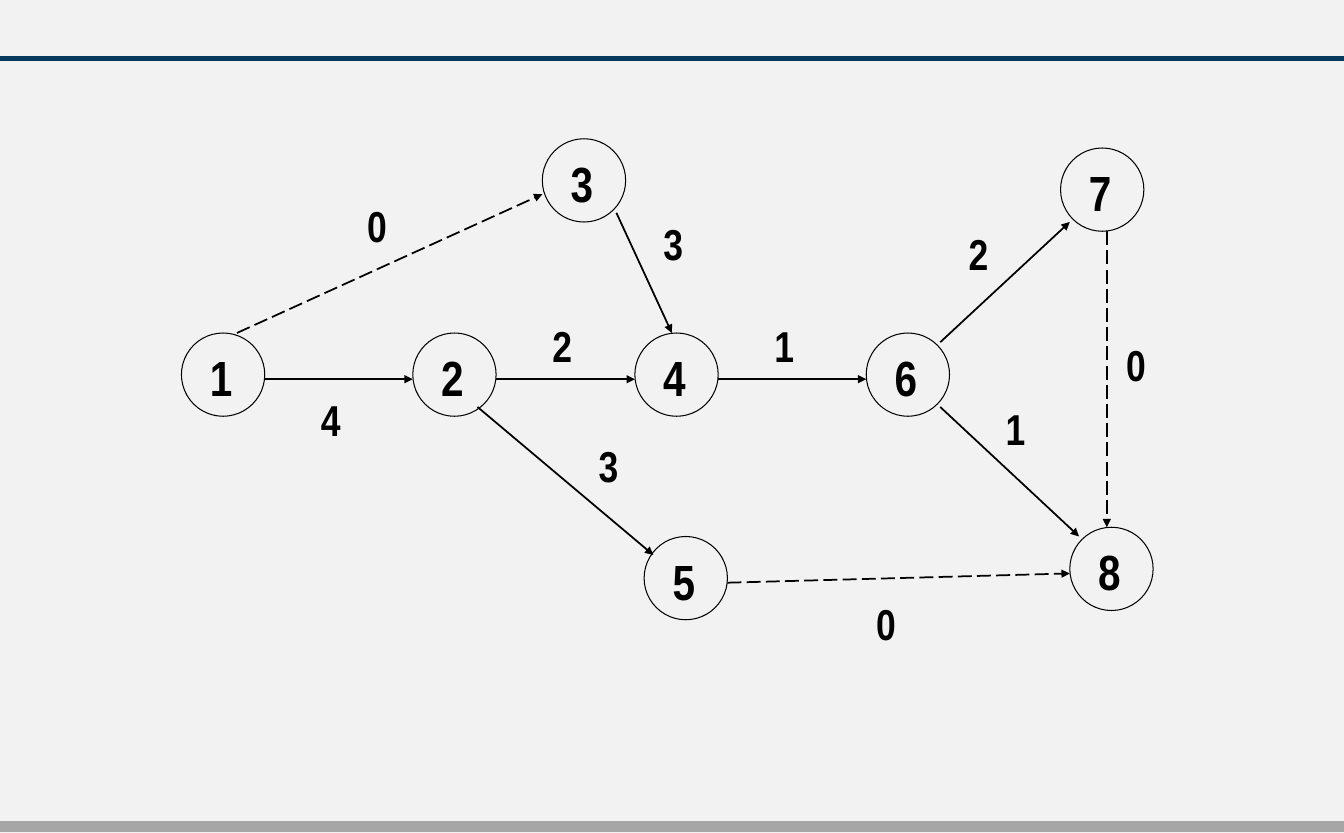
"""Activity network: numbered events joined by weighted arrows, dummies dashed."""
from lxml.etree import SubElement
from pptx import Presentation
from pptx.dml.color import RGBColor
from pptx.enum.dml import MSO_LINE
from pptx.enum.shapes import MSO_CONNECTOR, MSO_SHAPE
from pptx.enum.text import MSO_AUTO_SIZE
from pptx.oxml.ns import qn
from pptx.util import Pt

WIDTH, HEIGHT = 960, 595.28
GRID, ORIGIN_X = 6.61, 129.6
NODE_SIZE = 9
BLACK = "000000"

BARS = [(587.2, 7.2, "A6A6A6"), (40.3, 2.9, "01395C")]
NODES = {
    "1": (0, 36), "2": (25, 36), "3": (39, 15), "4": (49, 36),
    "6": (74, 36), "5": (50, 58), "7": (95, 16), "8": (96, 57),
}
# start, end, weight, weight position, dashed
EDGES = [
    ((9, 41), (25, 41), "4", (14, 42), False),
    ((34, 41), (49, 41), "2", (39, 34), False),
    ((58, 41), (74, 41), "1", (63, 34), False),
    ((82, 37), (96, 24), "2", (84, 24), False),
    ((82, 44), (97, 58), "1", (88, 43), False),
    ((32, 44), (51, 60), "3", (44, 47), False),
    ((47, 23), (53, 36), "3", (51, 23), False),
    ((6, 36), (39, 21), "0", (19, 21), True),
    ((59, 63), (96, 62), "0", (74, 64), True),
    ((100, 25), (100, 57), "0", (101, 36), True),
]


def rgb(value):
    return RGBColor.from_string(value)


def place(point):
    x, y = point
    return Pt(ORIGIN_X + x * GRID), Pt(y * GRID)


def add_bar(s, top, height, color):
    sp = s.shapes.add_shape(MSO_SHAPE.RECTANGLE, 0, Pt(top), Pt(WIDTH), Pt(height))
    sp.shadow.inherit = False
    sp.fill.solid()
    sp.fill.fore_color.rgb = rgb(color)
    sp.line.color.rgb = rgb(color)
    sp.line.width = Pt(1)


def add_digit(s, text, point, size, width, height):
    tf = s.shapes.add_textbox(*place(point), Pt(width), Pt(height)).text_frame
    tf.word_wrap = False
    tf.auto_size = MSO_AUTO_SIZE.SHAPE_TO_FIT_TEXT
    r = tf.paragraphs[0].add_run()
    r.text = text
    r.font.name = "Arial Narrow"
    r.font.size = Pt(size)
    r.font.bold = True
    r.font.color.rgb = rgb(BLACK)


def add_node(s, name, point):
    x, y = point
    side = Pt(NODE_SIZE * GRID)
    sp = s.shapes.add_shape(MSO_SHAPE.OVAL, *place(point), side, side)
    sp.shadow.inherit = False
    sp.fill.background()
    sp.line.color.rgb = rgb(BLACK)
    sp.line.width = Pt(0.75)
    add_digit(s, name, (x + 2, y + 1), 35.3, 30.6, 49.7)


def add_arrow(s, start, end, dashed):
    c = s.shapes.add_connector(MSO_CONNECTOR.STRAIGHT, *place(start), *place(end))
    c.line.color.rgb = rgb(BLACK)
    c.line.width = Pt(1.25)
    if dashed:
        c.line.dash_style = MSO_LINE.LONG_DASH
    ln = c.line._get_or_add_ln()
    SubElement(ln, qn("a:tailEnd"), type="triangle")
    SubElement(c._element.spPr, qn("a:effectLst"))


def main():
    prs = Presentation()
    prs.slide_width, prs.slide_height = Pt(WIDTH), Pt(HEIGHT)
    s = prs.slides.add_slide(prs.slide_layouts[6])
    s.background.fill.solid()
    s.background.fill.fore_color.rgb = rgb("F2F2F2")
    for bar in BARS:
        add_bar(s, *bar)
    for name, point in NODES.items():
        add_node(s, name, point)
    for start, end, weight, spot, dashed in EDGES:
        add_arrow(s, start, end, dashed)
        add_digit(s, weight, spot, 30.9, 28.6, 44.6)
    prs.save("out.pptx")


if __name__ == "__main__":
    main()
